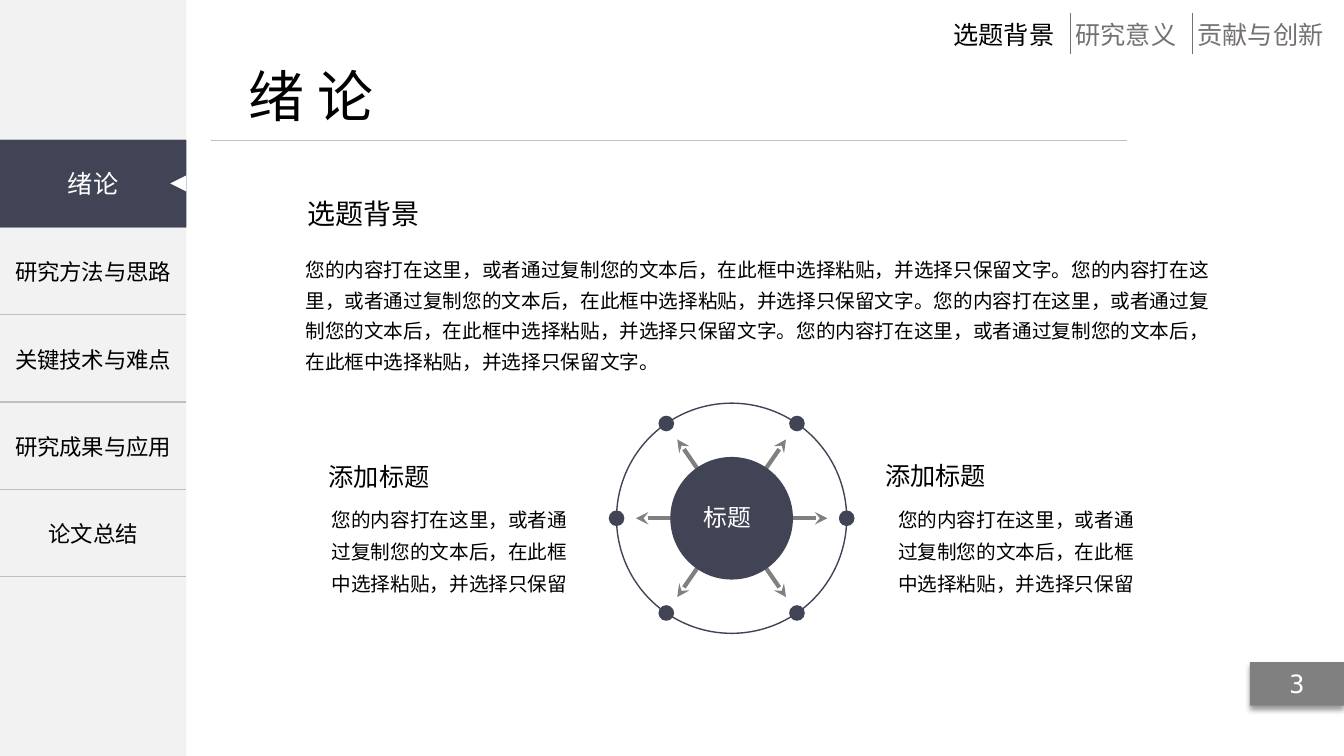
from math import cos, radians, sin

from lxml import etree
from pptx import Presentation
from pptx.dml.color import RGBColor
from pptx.enum.shapes import MSO_CONNECTOR, MSO_SHAPE
from pptx.enum.text import MSO_ANCHOR, MSO_AUTO_SIZE, PP_ALIGN
from pptx.oxml.ns import qn
from pptx.util import Inches, Pt

RECTANGLE, OVAL, TRIANGLE = MSO_SHAPE.RECTANGLE, MSO_SHAPE.OVAL, MSO_SHAPE.ISOSCELES_TRIANGLE
STRAIGHT = MSO_CONNECTOR.STRAIGHT
LEFT, CENTER, RIGHT = PP_ALIGN.LEFT, PP_ALIGN.CENTER, PP_ALIGN.RIGHT
TOP, MIDDLE = MSO_ANCHOR.TOP, MSO_ANCHOR.MIDDLE
NO_AUTOFIT = MSO_AUTO_SIZE.NONE

COLORS = {"panel": "F2F2F2", "navy": "414455", "rule": "BFBFBF", "muted": "767171",
          "gray": "808080", "white": "FFFFFF", "black": "000000"}
FONT, NUMBER_FONT = "Noto Sans CJK SC", "DejaVu Sans Mono"

# Grid of 160 columns by 90 rows
WIDTH, HEIGHT = Inches(13.33), Inches(7.5)
COLUMNS, ROWS = 160, 90
INSET = Inches(0.05)

# Sidebar and wheel geometry in grid units
MENU_WIDTH, MENU_TOP, MENU_ROW = 22.2, 16.67, 10.4
NAV_LEFT, NAV_STEP = 112.92, 14.52
HUB_X, HUB_Y = 87.1, 61.7
RING_RADIUS, ARROW_RADIUS, HUB_RADIUS, DOT_RADIUS = 13.7, 11.4, 7.3, 0.93
SPOKE_ANGLES = [0, 55.4, 124.6, 180, 235.4, 304.6]

MENU = ["研究方法与思路", "关键技术与难点", "研究成果与应用", "论文总结"]
NAVIGATION = [("选题背景", "black"), ("研究意义", "muted"), ("贡献与创新", "muted")]
SENTENCE = "您的内容打在这里，或者通过复制您的文本后，在此框中选择粘贴，并选择只保留"


def column(value):
    return round(WIDTH * value / COLUMNS)


def row(value):
    return round(HEIGHT * value / ROWS)


def box(left, top, width, height):
    return column(left), row(top), column(width), row(height)


def color(name):
    return RGBColor.from_string(COLORS[name])


def fill_text(frame, text, size, ink="black", align=LEFT, anchor=TOP,
              wrap=False, spacing=None, font_name=FONT):
    frame.auto_size = NO_AUTOFIT
    frame.word_wrap = wrap
    frame.vertical_anchor = anchor
    frame.margin_left = frame.margin_right = frame.margin_top = frame.margin_bottom = INSET
    write_paragraph(frame.paragraphs[0], text, size, ink, align, spacing, font_name)


def write_paragraph(paragraph, text, size, ink, align, spacing=None, font_name=FONT):
    paragraph.alignment = align
    if spacing:
        paragraph.line_spacing = spacing
    run = paragraph.add_run()
    run.text = text
    run.font.size = Pt(size)
    run.font.color.rgb = color(ink)
    run.font.name = font_name
    etree.SubElement(run.font._element, qn("a:ea"), typeface=font_name)


def add_text(slide, area, text, size, **style):
    shape = slide.shapes.add_textbox(*box(*area))
    fill_text(shape.text_frame, text, size, **style)


def add_block(slide, kind, area, fill=None, line=None):
    shape = slide.shapes.add_shape(kind, *box(*area))
    shape.shadow.inherit = False
    if fill:
        shape.fill.solid()
        shape.fill.fore_color.rgb = color(fill)
    else:
        shape.fill.background()
    if line:
        shape.line.color.rgb = color(line)
        shape.line.width = Pt(1)
    else:
        shape.line.fill.background()
    return shape


def add_circle(slide, x, y, radius, **style):
    add_block(slide, OVAL, (x - radius, y - radius, 2 * radius, 2 * radius), **style)


def add_line(slide, start, end, ink, width, arrow=False):
    line = slide.shapes.add_connector(
        STRAIGHT, column(start[0]), row(start[1]), column(end[0]), row(end[1]))
    line.line.color.rgb = color(ink)
    line.line.width = Pt(width)
    if arrow:
        etree.SubElement(line.line._get_or_add_ln(), qn("a:tailEnd"), type="stealth")
    etree.SubElement(line._element.spPr, qn("a:effectLst"))


def add_cell_borders(cell):
    properties = cell._tc.get_or_add_tcPr()
    for side in ("lnL", "lnR", "lnT", "lnB"):
        border = etree.SubElement(properties, qn("a:" + side), w=str(Pt(1)))
        if side in ("lnL", "lnR"):
            etree.SubElement(border, qn("a:noFill"))
        else:
            solid = etree.SubElement(border, qn("a:solidFill"))
            etree.SubElement(solid, qn("a:srgbClr"), val=COLORS["rule"])


def add_menu(slide):
    add_block(slide, RECTANGLE, (0, 0, MENU_WIDTH, ROWS), fill="panel")
    count = len(MENU) + 1
    area = box(0, MENU_TOP, MENU_WIDTH, MENU_ROW * count)
    table = slide.shapes.add_table(count, 1, *area).table
    table.first_row = table.horz_banding = False
    for index, label in enumerate([""] + MENU):
        table.rows[index].height = row(MENU_ROW)
        cell = table.cell(index, 0)
        add_cell_borders(cell)
        cell.fill.background()
        cell.vertical_anchor = MIDDLE
        cell.margin_left = cell.margin_right = cell.margin_top = cell.margin_bottom = INSET
        if label:
            write_paragraph(cell.text_frame.paragraphs[0], label, 16, "black", CENTER)

    # Current section
    current = (0, MENU_TOP, MENU_WIDTH, MENU_ROW)
    add_block(slide, RECTANGLE, current, fill="navy")
    add_text(slide, current, "绪论", 18, ink="white", align=CENTER, anchor=MIDDLE, wrap=True)
    marker = add_block(slide, TRIANGLE, (20.28, 20.88, 1.92, 1.92), fill="white")
    marker.rotation = 270


def add_title(slide):
    title = slide.shapes.title
    title.left, title.top, title.width, title.height = box(29.04, 6.72, 16.56, 10.56)
    fill_text(title.text_frame, "绪 论", 40)
    add_line(slide, (25.08, MENU_TOP), (134.16, MENU_TOP), "rule", 0.5)


def add_navigation(slide):
    for index, (label, ink) in enumerate(NAVIGATION):
        left = NAV_LEFT + index * NAV_STEP
        if index:
            add_line(slide, (left, 1.56), (left, 6.48), "muted", 0.5)
        add_text(slide, (left, 1.75, 1.2 + 3 * len(label), 5.4), label, 18, ink=ink)


def add_page_number(slide):
    badge = add_block(slide, RECTANGLE, (148.8, 78.84, 11.2, 5.16), fill="gray")
    fill_text(badge.text_frame, "3", 18, ink="white", align=CENTER, anchor=MIDDLE,
              wrap=True, font_name=NUMBER_FONT)
    effects = badge._element.spPr.find(qn("a:effectLst"))
    shadow = etree.SubElement(effects, qn("a:outerShdw"), blurRad=str(Pt(4)),
                              dist=str(Pt(3)), dir="5400000", rotWithShape="0")
    shade = etree.SubElement(shadow, qn("a:srgbClr"), val=COLORS["black"])
    etree.SubElement(shade, qn("a:alpha"), val="40000")


def add_wheel(slide):
    def on_circle(radius, angle):
        return HUB_X + radius * cos(radians(angle)), HUB_Y + radius * sin(radians(angle))

    add_circle(slide, HUB_X, HUB_Y, RING_RADIUS, line="navy")
    for angle in SPOKE_ANGLES:
        add_circle(slide, *on_circle(RING_RADIUS, angle), DOT_RADIUS, fill="navy")
        add_line(slide, (HUB_X, HUB_Y), on_circle(ARROW_RADIUS, angle), "gray", 3, arrow=True)
    add_circle(slide, HUB_X, HUB_Y, HUB_RADIUS, fill="navy")
    add_text(slide, (83.16, 59.28, 7.8, 5.16), "标题", 17, ink="white")


def add_side_note(slide, heading_left, heading_top, text_left):
    add_text(slide, (heading_left, heading_top, 13.32, 5.4), "添加标题", 18)
    add_text(slide, (text_left, 58.8, 30.48, 12.72), SENTENCE, 14,
             align=RIGHT, wrap=True, spacing=Pt(23))


def main():
    presentation = Presentation()
    presentation.slide_width, presentation.slide_height = WIDTH, HEIGHT
    slide = presentation.slides.add_slide(presentation.slide_layouts[5])

    # Frame of the page
    add_menu(slide)
    add_title(slide)
    add_navigation(slide)
    add_page_number(slide)

    # Content
    add_text(slide, (36, 22.8, 14.76, 5.88), "选题背景", 20)
    add_text(slide, (35.76, 29.28, 111, 21.36), (SENTENCE + "文字。") * 4, 14,
             wrap=True, spacing=1.3)
    add_wheel(slide)
    add_side_note(slide, 104.76, 54.24, 105.12)
    add_side_note(slide, 38.52, 54.36, 37.68)

    presentation.save("out.pptx")


if __name__ == "__main__":
    main()
